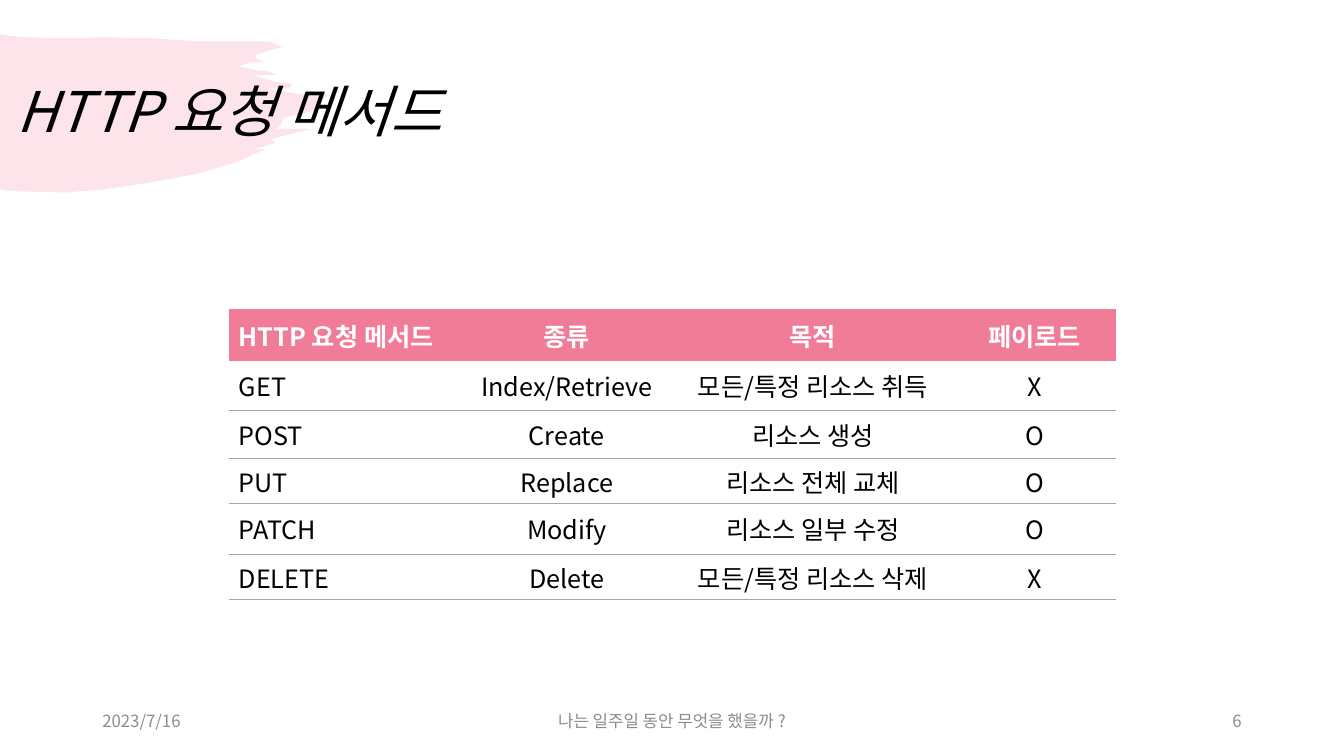
from dataclasses import dataclass

from lxml import etree
from pptx import Presentation
from pptx.dml.color import RGBColor
from pptx.enum.text import MSO_ANCHOR, PP_ALIGN
from pptx.oxml.ns import qn
from pptx.util import Pt

LEFT, CENTER, RIGHT = PP_ALIGN.LEFT, PP_ALIGN.CENTER, PP_ALIGN.RIGHT
MIDDLE = MSO_ANCHOR.MIDDLE


@dataclass(frozen=True)
class Theme:
    font: str = "Noto Sans CJK KR"
    accent: str = "F07C98"
    text: str = "000000"
    header_text: str = "FFFFFF"
    muted: str = "8C8C8C"
    rule: str = "A6A6A6"
    title_size: int = 40
    table_size: int = 18
    footer_size: int = 12
    brush_opacity: int = 20  # percent


THEME = Theme()

# Brush outline, in hundredths of an inch from the top left of its box
BRUSH_UNIT = Pt(0.72)
BRUSH_OUTLINE = [
    (0, 0), (6, 1), (25, 3), (66, 4), (102, 3), (151, 4), (194, 7),
    (248, 7), (267, 7), (280, 13), (271, 15), (255, 20), (253, 23),
    (256, 25), (262, 28), (247, 28), (238, 32), (246, 34), (256, 36),
    (266, 37), (275, 40), (251, 41), (263, 44), (273, 47), (280, 48),
    (288, 49), (290, 51), (287, 54), (284, 54), (263, 54), (296, 59),
    (330, 60), (321, 63), (318, 72), (307, 77), (300, 79), (283, 82),
    (280, 86), (278, 91), (274, 94), (308, 94), (269, 104), (273, 108),
    (252, 114), (263, 114), (235, 127), (197, 138), (150, 147),
    (102, 154), (65, 157), (23, 156), (7, 155), (0, 154),
]

COLUMN_WIDTHS = [166.3, 150.5, 200.9, 115.9]
ROW_HEIGHTS = [36.7, 35.3, 34.6, 31.7, 36.7, 31.7]
METHODS = [
    ("HTTP 요청 메서드", "종류", "목적", "페이로드"),
    ("GET", "Index/Retrieve", "모든/특정 리소스 취득", "X"),
    ("POST", "Create", "리소스 생성", "O"),
    ("PUT", "Replace", "리소스 전체 교체", "O"),
    ("PATCH", "Modify", "리소스 일부 수정", "O"),
    ("DELETE", "Delete", "모든/특정 리소스 삭제", "X"),
]


def write(frame, text, size, color, align=LEFT, bold=False, italic=False):
    """Fill a text frame with one paragraph in the theme font."""
    paragraph = frame.paragraphs[0]
    paragraph.text = text
    paragraph.alignment = align
    font = paragraph.font
    font.name, font.size = THEME.font, Pt(size)
    font.bold, font.italic = bold, italic
    font.color.rgb = RGBColor.from_string(color)
    # Hangul takes its own typeface entry
    defaults = paragraph._p.pPr.find(qn("a:defRPr"))
    etree.SubElement(defaults, qn("a:ea"), typeface=THEME.font)
    return paragraph


def add_text(slide, left, top, width, height, *args, **style):
    box = slide.shapes.add_textbox(Pt(left), Pt(top), Pt(width), Pt(height))
    box.text_frame.word_wrap = True
    box.text_frame.vertical_anchor = MIDDLE
    return write(box.text_frame, *args, **style)


def add_brush(slide, left, top):
    builder = slide.shapes.build_freeform(*BRUSH_OUTLINE[0], scale=BRUSH_UNIT)
    builder.add_line_segments(BRUSH_OUTLINE[1:], close=True)
    brush = builder.convert_to_shape(Pt(left), Pt(top))
    brush.shadow.inherit = False
    brush.line.fill.background()
    brush.fill.solid()
    brush.fill.fore_color.rgb = RGBColor.from_string(THEME.accent)
    color = brush._element.spPr.find(qn("a:solidFill"))[0]
    etree.SubElement(color, qn("a:alpha"), val=str(THEME.brush_opacity * 1000))


def add_heading(slide, left, top, width, height):
    add_brush(slide, left, top)
    title = add_text(slide, left + 4.5, top + 5, width, height,
                     "HTTP 요청 메서드", THEME.title_size, THEME.text, italic=True)
    title.line_spacing = 0.9


def set_borders(cell, ruled_sides):
    """Draw thin rules on the given sides and clear the others."""
    properties = cell._tc.get_or_add_tcPr()
    for index, side in enumerate("LRTB"):
        line = etree.Element(qn(f"a:ln{side}"), w=str(Pt(0.25)))
        if side in ruled_sides:
            fill = etree.SubElement(line, qn("a:solidFill"))
            etree.SubElement(fill, qn("a:srgbClr"), val=THEME.rule)
        else:
            etree.SubElement(line, qn("a:noFill"))
        properties.insert(index, line)


def add_methods_table(slide, left, top):
    table = slide.shapes.add_table(
        len(METHODS), len(COLUMN_WIDTHS), Pt(left), Pt(top),
        Pt(sum(COLUMN_WIDTHS)), Pt(sum(ROW_HEIGHTS))).table
    table.first_row = table.horz_banding = False
    for column, width in zip(table.columns, COLUMN_WIDTHS):
        column.width = Pt(width)
    for row, height in zip(table.rows, ROW_HEIGHTS):
        row.height = Pt(height)

    for r, method in enumerate(METHODS):
        is_header = r == 0
        for c, text in enumerate(method):
            cell = table.cell(r, c)
            cell.vertical_anchor = MIDDLE
            if is_header:
                cell.fill.solid()
                cell.fill.fore_color.rgb = RGBColor.from_string(THEME.accent)
            else:
                cell.fill.background()
            write(cell.text_frame, text, THEME.table_size,
                  THEME.header_text if is_header else THEME.text,
                  align=CENTER if c else LEFT, bold=is_header)
            set_borders(cell, "" if is_header else "B" if r == 1 else "TB")


def add_footer(slide, left, top, width, height):
    side, middle = 216, 324
    parts = [
        ("2023/7/16", left, side, LEFT),
        ("나는 일주일 동안 무엇을 했을까 ?", left + (width - middle) / 2, middle, CENTER),
        ("6", left + width - side, side, RIGHT),
    ]
    for text, x, part_width, align in parts:
        add_text(slide, x, top, part_width, height, text,
                 THEME.footer_size, THEME.muted, align=align)


def main():
    deck = Presentation()
    deck.slide_width, deck.slide_height = Pt(960), Pt(540)
    slide = deck.slides.add_slide(deck.slide_layouts[6])
    add_heading(slide, 0, 24.5, 828, 104.4)
    add_methods_table(slide, 163.4, 221)
    add_footer(slide, 66, 500.4, 828, 28.8)
    deck.save("out.pptx")


if __name__ == "__main__":
    main()
